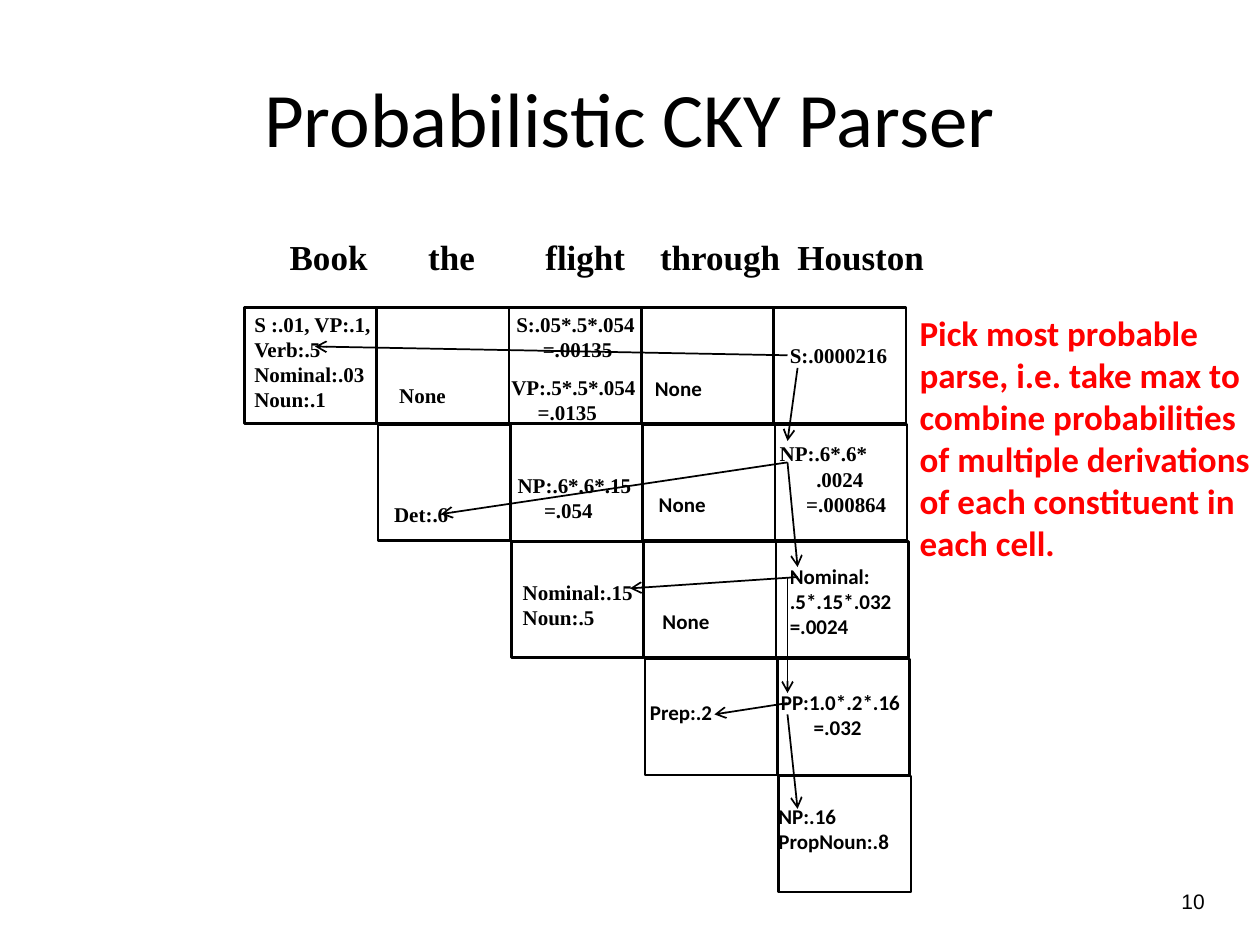
from lxml import etree
from pptx import Presentation
from pptx.dml.color import RGBColor
from pptx.enum import shapes, text
from pptx.oxml.ns import qn
from pptx.util import Inches, Pt

COLORS = {"ink": "000000", "note": "FF0000"}
SERIF, SANS = "Times New Roman", "Calibri"

WORDS = ["Book", "the", "flight", "through", "Houston"]
WORD_STOPS = [0.14, 1.24, 2.17, 3.08, 4.17]

CELL_W, CELL_H = 1.05, 0.92
# Columns with a drawn box in each row of the chart
CHART_ROWS = [range(5), [1, 3, 4], [2, 3, 4], [3, 4], [4]]

# left, top, width, font, lines as (text, indent in inches)
ENTRIES = [
    (1.92, 2.42, 1.17, SERIF,
     [("S :.01, VP:.1,", 0), ("Verb:.5", 0), ("Nominal:.03", 0), ("Noun:.1", 0)]),
    (3.03, 3.93, 0.63, SERIF, [("Det:.6", 0)]),
    (4.05, 4.55, 1.07, SERIF, [("Nominal:.15", 0), ("Noun:.5", 0)]),
    (3.07, 2.99, 0.57, SERIF, [("None", 0)]),
    (4.01, 3.7, 1.1, SERIF, [("NP:.6*.6*.15", 0), ("=.054", 0.21)]),
    (3.96, 2.92, 1.2, SERIF, [("VP:.5*.5*.054", 0), ("=.0135", 0.21)]),
    (4, 2.42, 1.2, SERIF, [("S:.05*.5*.054", 0), ("=.00135", 0.21)]),
    (5.16, 4.78, 0.57, SANS, [("None", 0)]),
    (5.13, 3.85, 0.57, SANS, [("None", 0)]),
    (5.1, 2.93, 0.57, SANS, [("None", 0)]),
    (5.06, 5.5, 0.69, SANS, [("Prep:.2", 0)]),
    (6.08, 6.33, 1.17, SANS, [("NP:.16", 0), ("PropNoun:.8", 0)]),
    (6.1, 5.42, 1.14, SANS, [("PP:1.0*.2*.16", 0), ("=.032", 0.26)]),
    (6.17, 4.42, 1, SANS, [("Nominal:", 0), (".5*.15*.032", 0), ("=.0024", 0)]),
    (6.09, 3.45, 1.04, SERIF,
     [("NP:.6*.6*", 0), (".0024", 0.29), ("=.000864", 0.21)]),
    (6.17, 2.67, 1.2, SERIF, [("S:.0000216", 0)]),
]

# Back-pointers of the best parse: start and end points
BACK_POINTERS = [
    ((6.25, 2.82), (2.5, 2.75)),
    ((6.33, 2.92), (6.25, 3.5)),
    ((6.25, 3.67), (3.5, 4.08)),
    ((6.25, 3.67), (6.33, 4.5)),
    ((6.33, 4.58), (5, 4.67)),
    ((6.25, 4.59), (6.25, 5.5)),
    ((6.25, 5.58), (5.67, 5.67)),
    ((6.25, 5.67), (6.33, 6.42)),
]

NOTE = ["Pick most probable", "parse, i.e. take max to", "combine probabilities",
        "of multiple derivations", "of each constituent in", "each cell."]


def rgb(name):
    return RGBColor.from_string(COLORS[name])


def add_label(slide, box, lines, font, size, color="ink", bold=True,
              align=text.PP_ALIGN.LEFT):
    """Text box with one paragraph per line; returns its text frame."""
    frame = slide.shapes.add_textbox(*map(Inches, box)).text_frame
    frame.word_wrap = True
    if align == text.PP_ALIGN.LEFT:
        frame.margin_right = 0  # spare room keeps each line whole
    frame.text = "\n".join(lines)
    for paragraph in frame.paragraphs:
        paragraph.alignment = align
        for run in paragraph.runs:
            run.font.name = font
            run.font.size = Pt(size)
            run.font.bold = bold
            run.font.color.rgb = rgb(color)
    return frame


def add_sentence(slide):
    """The parsed words, each at its own tab stop."""
    frame = add_label(slide, (2.06, 1.82, 5.39, 0.44),
                      ["\t" + "\t".join(WORDS)], SERIF, 20)
    properties = frame.paragraphs[0]._p.get_or_add_pPr()
    stops = etree.SubElement(properties, qn("a:tabLst"))
    for stop in WORD_STOPS:
        etree.SubElement(stops, qn("a:tab"), pos=str(Inches(stop)), algn="l")


def add_chart_cell(slide, row, column):
    left = 1.94 + CELL_W * column + 0.01 * row
    top = 2.44 + 0.93 * row
    cell = slide.shapes.add_shape(
        shapes.MSO_SHAPE.RECTANGLE,
        Inches(left), Inches(top), Inches(CELL_W), Inches(CELL_H))
    cell.shadow.inherit = False
    cell.fill.background()
    cell.line.color.rgb = rgb("ink")
    cell.line.width = Pt(1.5)


def add_entry(slide, left, top, width, font, lines):
    height = 0.1 + 0.2 * len(lines)
    frame = add_label(slide, (left, top, width, height),
                      [line for line, _ in lines], font, 12)
    for paragraph, (_, indent) in zip(frame.paragraphs, lines):
        if indent:
            paragraph._p.get_or_add_pPr().set("marL", str(Inches(indent)))


def add_back_pointer(slide, start, end):
    pointer = slide.shapes.add_connector(
        shapes.MSO_CONNECTOR.STRAIGHT, *map(Inches, start + end))
    pointer.line.color.rgb = rgb("ink")
    pointer.line.width = Pt(1)
    etree.SubElement(pointer.line._get_or_add_ln(), qn("a:tailEnd"), type="arrow")
    etree.SubElement(pointer._element.spPr, qn("a:effectLst"))


def main():
    deck = Presentation()
    deck.slide_width, deck.slide_height = Inches(10), Inches(7.5)
    slide = deck.slides.add_slide(deck.slide_layouts[6])

    title = add_label(slide, (0.5, 0.3, 9, 1.25), ["Probabilistic CKY Parser"],
                      SANS, 44, bold=False, align=text.PP_ALIGN.CENTER)
    title.vertical_anchor = text.MSO_ANCHOR.MIDDLE
    add_label(slide, (7.58, 7, 2.08, 0.5), ["10"], "Arial", 12, bold=False,
              align=text.PP_ALIGN.RIGHT)
    add_sentence(slide)

    for row, columns in enumerate(CHART_ROWS):
        for column in columns:
            add_chart_cell(slide, row, column)
    for entry in ENTRIES:
        add_entry(slide, *entry)
    for start, end in BACK_POINTERS:
        add_back_pointer(slide, start, end)

    add_label(slide, (7.2, 2.42, 2.82, 2.1), NOTE, SANS, 20, color="note")
    deck.save("out.pptx")


if __name__ == "__main__":
    main()
